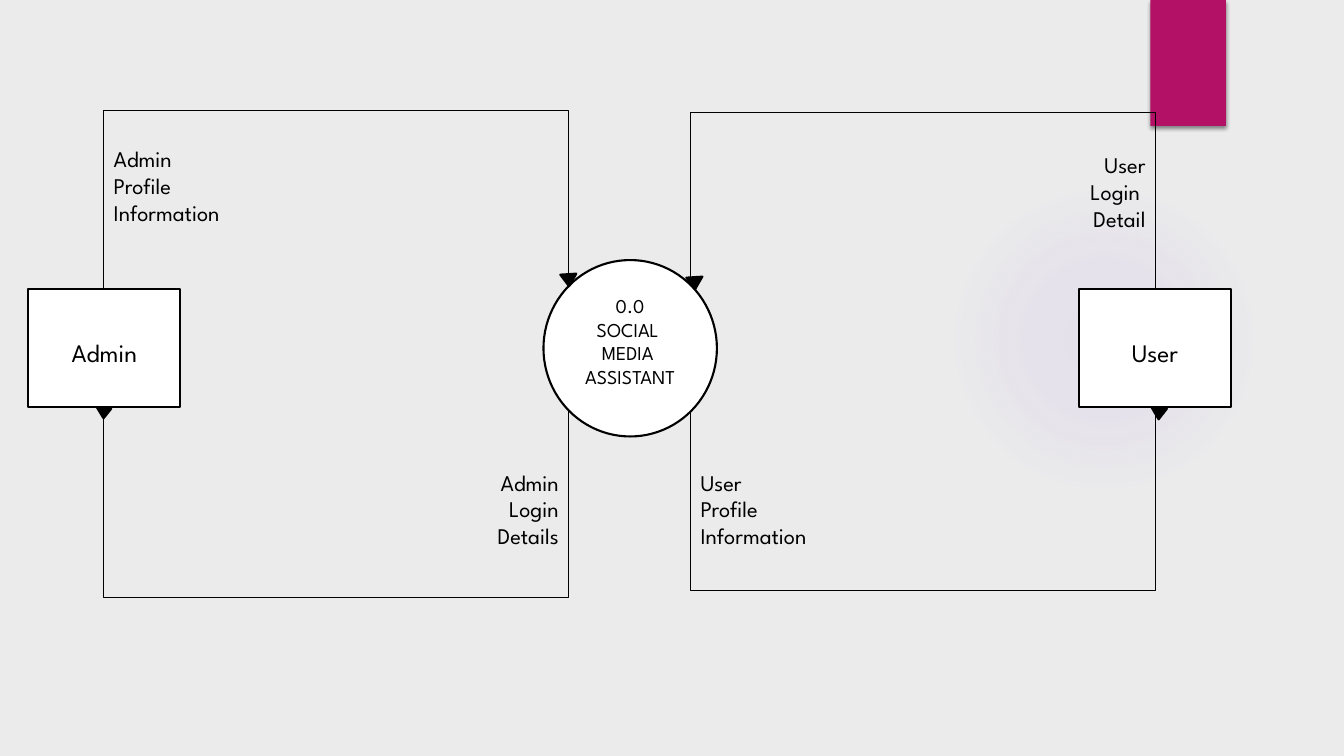
from dataclasses import dataclass

from pptx import Presentation
from pptx.dml.color import RGBColor
from pptx.enum.shapes import MSO_CONNECTOR as Connector
from pptx.enum.shapes import MSO_SHAPE as Preset
from pptx.enum.text import MSO_ANCHOR as Anchor
from pptx.enum.text import PP_ALIGN as Align
from pptx.oxml import parse_xml
from pptx.oxml.ns import nsdecls, qn
from pptx.shapes.autoshape import Shape
from pptx.slide import Slide
from pptx.text.text import TextFrame
from pptx.util import Emu, Pt

EMU_PER_PX = 9144


@dataclass(frozen=True)
class Theme:
    background: str = "EBEBEB"
    ribbon: str = "B31166"
    glow: str = "9B6BF2"
    ink: str = "000000"
    paper: str = "FFFFFF"
    font: str = "League Spartan"
    process_size: int = 14
    flow_size: int = 16
    entity_size: int = 18
    outline: float = 1.5
    flow_line: float = 0.75


@dataclass(frozen=True)
class Box:
    left: int
    top: int
    width: int
    height: int


@dataclass(frozen=True)
class Node:
    preset: Preset
    box: Box
    lines: tuple[str, ...]
    size: int
    anchor: Anchor


@dataclass(frozen=True)
class Flow:
    start: tuple[int, int]
    end: tuple[int, int]
    lane: int


@dataclass(frozen=True)
class Arrowhead:
    box: Box
    rotation: float


@dataclass(frozen=True)
class Label:
    box: Box
    lines: tuple[str, ...]
    align: Align


THEME = Theme()
GLOW = Box(941, 183, 308, 308)
RIBBON = Box(1141, 0, 75, 125)
GLOW_STOPS = ((0, 7), (36, 6), (69, 0))

NODES = (
    Node(Preset.OVAL, Box(539, 258, 172, 175),
         ("0.0", "SOCIAL ", "MEDIA ", "ASSISTANT"), THEME.process_size, Anchor.TOP),
    Node(Preset.RECTANGLE, Box(1070, 287, 151, 117), ("User",), THEME.entity_size, Anchor.MIDDLE),
    Node(Preset.RECTANGLE, Box(28, 287, 151, 117), ("Admin",), THEME.entity_size, Anchor.MIDDLE),
)
FLOWS = (
    Flow((564, 284), (103, 287), 109),
    Flow((103, 404), (564, 408), 592),
    Flow((1146, 287), (685, 284), 111),
    Flow((685, 408), (1146, 404), 585),
)
ARROWHEADS = (
    Arrowhead(Box(556, 272, 16, 12), 176.3),
    Arrowhead(Box(96, 405, 14, 10), 183.7),
    Arrowhead(Box(681, 275, 16, 12), 176.3),
    Arrowhead(Box(1142, 405, 15, 11), 183.7),
)
LABELS = (
    Label(Box(103, 139, 184, 91), ("Admin", "Profile", "Information"), Align.LEFT),
    Label(Box(420, 460, 144, 91), ("Admin", "Login", "Details"), Align.RIGHT),
    Label(Box(992, 145, 154, 91), ("User", "Login ", "Detail"), Align.RIGHT),
    Label(Box(685, 460, 154, 91), ("User", "Profile", "Information"), Align.LEFT),
)


def px(value: float) -> Emu:
    return Emu(round(value * EMU_PER_PX))


def bounds(box: Box) -> tuple[Emu, Emu, Emu, Emu]:
    return px(box.left), px(box.top), px(box.width), px(box.height)


def add_filled(slide: Slide, preset: Preset, box: Box, fill: str, outlined: bool) -> Shape:
    shape = slide.shapes.add_shape(preset, *bounds(box))
    shape.shadow.inherit = False
    shape.fill.solid()
    shape.fill.fore_color.rgb = RGBColor.from_string(fill)
    if outlined:
        shape.line.color.rgb = RGBColor.from_string(THEME.ink)
        shape.line.width = Pt(THEME.outline)
    else:
        shape.line.fill.background()
    return shape


def write_lines(frame: TextFrame, lines: tuple[str, ...], size: int, align: Align) -> None:
    frame.word_wrap = True
    for index, line in enumerate(lines):
        paragraph = frame.add_paragraph() if index else frame.paragraphs[0]
        paragraph.alignment = align
        run = paragraph.add_run()
        run.text = line
        run.font.name = THEME.font
        run.font.size = Pt(size)
        run.font.color.rgb = RGBColor.from_string(THEME.ink)


def add_glow(slide: Slide) -> None:
    shape = add_filled(slide, Preset.OVAL, GLOW, THEME.glow, False)
    stops = "".join(
        f'<a:gs pos="{position * 1000}"><a:srgbClr val="{THEME.glow}">'
        f'<a:alpha val="{opacity * 1000}"/></a:srgbClr></a:gs>'
        for position, opacity in GLOW_STOPS
    )
    gradient = parse_xml(
        f'<a:gradFill {nsdecls("a")} rotWithShape="1"><a:gsLst>{stops}</a:gsLst>'
        '<a:path path="circle"><a:fillToRect l="50000" t="50000" r="50000" b="50000"/>'
        '</a:path></a:gradFill>'
    )
    properties = shape.element.spPr
    properties.replace(properties.find(qn("a:solidFill")), gradient)


def add_ribbon(slide: Slide) -> None:
    shape = add_filled(slide, Preset.RECTANGLE, RIBBON, THEME.ribbon, False)
    shape.element.spPr.find(qn("a:effectLst")).append(parse_xml(
        f'<a:outerShdw {nsdecls("a")} blurRad="{Pt(3)}" dist="{Pt(2)}" dir="5400000" '
        f'rotWithShape="0"><a:srgbClr val="{THEME.ink}"><a:alpha val="45000"/>'
        '</a:srgbClr></a:outerShdw>'
    ))


def add_node(slide: Slide, node: Node) -> None:
    shape = add_filled(slide, node.preset, node.box, THEME.paper, True)
    frame = shape.text_frame
    write_lines(frame, node.lines, node.size, Align.CENTER)
    frame.vertical_anchor = node.anchor
    frame.margin_top = px(8)
    frame.margin_bottom = px(0)


def add_flow(slide: Slide, flow: Flow) -> None:
    (start_x, start_y), (end_x, end_y) = flow.start, flow.end
    run, rise = end_x - start_x, end_y - start_y
    width, height = abs(rise), abs(run)
    left = (start_x + end_x - width) / 2
    top = (start_y + end_y - height) / 2
    connector = slide.shapes.add_connector(
        Connector.ELBOW, px(left), px(top), px(left + width), px(top + height))
    connector.line.color.rgb = RGBColor.from_string(THEME.ink)
    connector.line.width = Pt(THEME.flow_line)
    properties = connector.element.spPr
    properties.append(parse_xml(f'<a:effectLst {nsdecls("a")}/>'))
    transform = properties.find(qn("a:xfrm"))
    transform.set("rot", str(270 * 60000))
    transform.set("flipH", str(int(rise > 0)))
    transform.set("flipV", str(int(run < 0)))
    bend = round((flow.lane - start_y) / rise * 100000)
    geometry = properties.find(qn("a:prstGeom"))
    geometry.find(qn("a:avLst")).append(
        parse_xml(f'<a:gd {nsdecls("a")} name="adj1" fmla="val {bend}"/>'))


def add_arrowhead(slide: Slide, arrowhead: Arrowhead) -> None:
    shape = add_filled(slide, Preset.ISOSCELES_TRIANGLE, arrowhead.box, THEME.ink, True)
    shape.rotation = arrowhead.rotation


def add_label(slide: Slide, label: Label) -> None:
    text_box = slide.shapes.add_textbox(*bounds(label.box))
    write_lines(text_box.text_frame, label.lines, THEME.flow_size, label.align)


def main() -> None:
    presentation = Presentation()
    presentation.slide_width, presentation.slide_height = px(1333), px(750)
    slide = presentation.slides.add_slide(presentation.slide_layouts[6])
    slide.background.fill.solid()
    slide.background.fill.fore_color.rgb = RGBColor.from_string(THEME.background)
    add_glow(slide)
    add_ribbon(slide)
    for node in NODES:
        add_node(slide, node)
    for flow in FLOWS:
        add_flow(slide, flow)
    for arrowhead in ARROWHEADS:
        add_arrowhead(slide, arrowhead)
    for label in LABELS:
        add_label(slide, label)
    presentation.save("out.pptx")


if __name__ == "__main__":
    main()
